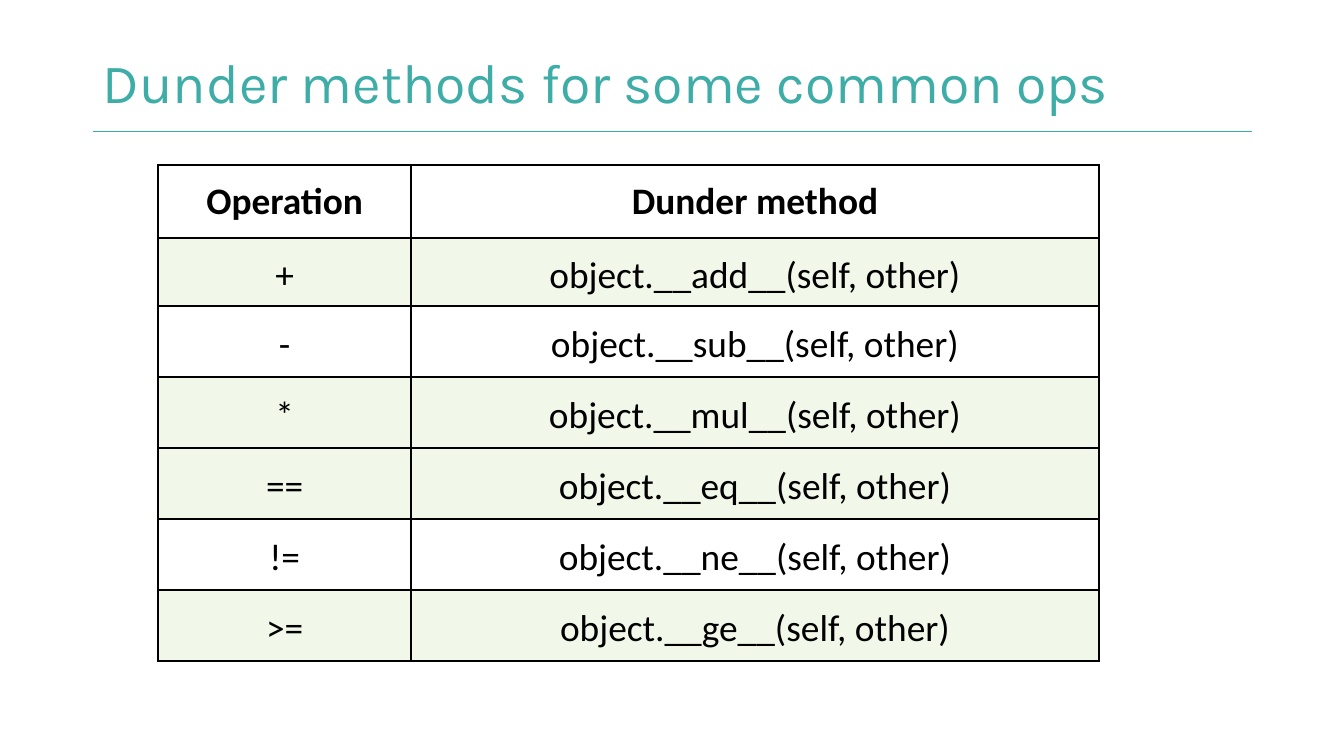
from dataclasses import dataclass

from lxml import etree
from pptx import Presentation
from pptx import util as u
from pptx.dml.color import RGBColor
from pptx.enum import shapes, text
from pptx.oxml import ns


@dataclass(frozen=True)
class Theme:
    teal: str = "3EADA7"
    rule: str = "3DACA7"
    ink: str = "000000"
    band: str = "F1F8E9"
    head_font: str = "Karla"
    body_font: str = "Calibri"
    head_size: float = 29.7
    body_size: float = 20
    rule_width: float = 0.75
    edge_width: float = 1.5


THEME = Theme()
HEADER = ("Operation", "Dunder method")
METHODS = (("+", "add"), ("-", "sub"), ("*", "mul"),
           ("==", "eq"), ("!=", "ne"), (">=", "ge"))
BANDS = (1, 3, 4, 6)
WIDTHS = (4.78, 13)
HEIGHTS = (1.38, 1.29) + (1.34,) * 5


def style(para, font, size, color, bold=False):
    para.font.name = font
    para.font.size = u.Pt(size)
    para.font.bold = bold
    para.font.color.rgb = RGBColor.from_string(color)


def add_title(slide, words):
    box = slide.shapes.add_textbox(u.Cm(1.75), u.Cm(0.76), u.Cm(19.69), u.Cm(1.73))
    frame = box.text_frame
    frame.word_wrap = True
    frame.vertical_anchor = text.MSO_ANCHOR.MIDDLE
    frame.margin_left = frame.margin_right = u.Cm(0.19)
    frame.margin_top = frame.margin_bottom = u.Cm(0.1)
    para = frame.paragraphs[0]
    para.text = words
    para.line_spacing = 0.9
    style(para, THEME.head_font, THEME.head_size, THEME.teal)


def add_rule(slide):
    line = slide.shapes.add_connector(
        shapes.MSO_CONNECTOR.STRAIGHT, u.Cm(1.75), u.Cm(2.49), u.Cm(23.67), u.Cm(2.49))
    line.line.color.rgb = RGBColor.from_string(THEME.rule)
    line.line.width = u.Pt(THEME.rule_width)
    etree.SubElement(line._element.spPr, ns.qn("a:effectLst"))


def add_edges(cell):
    """Draw all four borders, which must come before the fill in the XML."""
    props = cell._tc.get_or_add_tcPr()
    for spot, side in enumerate(("lnL", "lnR", "lnT", "lnB")):
        edge = etree.Element(ns.qn(f"a:{side}"), w=str(u.Pt(THEME.edge_width)))
        fill = etree.SubElement(edge, ns.qn("a:solidFill"))
        etree.SubElement(fill, ns.qn("a:srgbClr"), val=THEME.ink)
        props.insert(spot, edge)


def fill_cell(cell, words, head, band):
    pad = u.Cm(0.25 if head else 0.13)
    cell.margin_left = cell.margin_right = pad
    cell.margin_top = cell.margin_bottom = pad
    cell.vertical_anchor = text.MSO_ANCHOR.MIDDLE
    if band:
        cell.fill.solid()
        cell.fill.fore_color.rgb = RGBColor.from_string(THEME.band)
    else:
        cell.fill.background()
    add_edges(cell)
    para = cell.text_frame.paragraphs[0]
    para.text = words
    para.alignment = text.PP_ALIGN.CENTER
    if not head:
        para.line_spacing = 1.15
    style(para, THEME.body_font, THEME.body_size, THEME.ink, head)


def add_grid(slide, rows):
    frame = slide.shapes.add_table(
        len(rows), len(WIDTHS), u.Cm(2.99), u.Cm(3.12),
        u.Cm(sum(WIDTHS)), u.Cm(sum(HEIGHTS)))
    table = frame.table
    table.horz_banding = False
    for column, width in zip(table.columns, WIDTHS):
        column.width = u.Cm(width)
    for r, (row, height) in enumerate(zip(rows, HEIGHTS)):
        table.rows[r].height = u.Cm(height)
        for c, words in enumerate(row):
            fill_cell(table.cell(r, c), words, r == 0, r in BANDS)


def main():
    deck = Presentation()
    deck.slide_width, deck.slide_height = u.Cm(25.4), u.Cm(14.29)
    slide = deck.slides.add_slide(deck.slide_layouts[6])
    add_rule(slide)
    add_title(slide, "Dunder methods for some common ops")
    calls = [(sign, f"object.__{name}__(self, other)") for sign, name in METHODS]
    add_grid(slide, [HEADER, *calls])
    deck.save("out.pptx")


if __name__ == "__main__":
    main()
